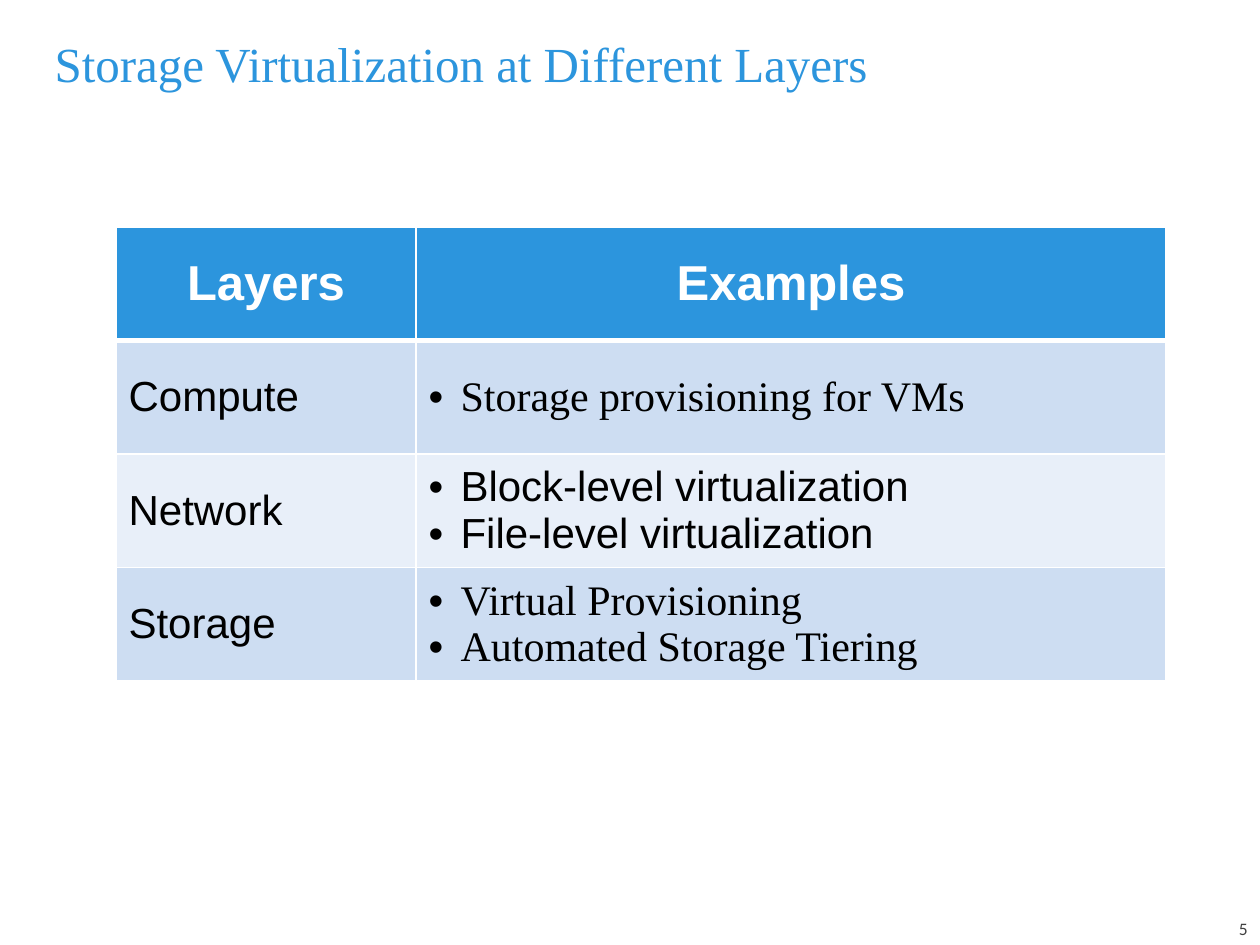
from lxml import etree
from pptx import Presentation
from pptx.dml.color import RGBColor
from pptx.enum.text import MSO_ANCHOR, MSO_AUTO_SIZE, PP_ALIGN
from pptx.oxml.ns import qn
from pptx.util import Pt

PX = 914400 / 126
MIDDLE, BOTTOM = MSO_ANCHOR.MIDDLE, MSO_ANCHOR.BOTTOM
LEFT, CENTER, RIGHT = PP_ALIGN.LEFT, PP_ALIGN.CENTER, PP_ALIGN.RIGHT
NO_FIT = MSO_AUTO_SIZE.NONE

BLUE = RGBColor(0x2C, 0x95, 0xDD)
BAND_DARK = RGBColor(0xCD, 0xDD, 0xF2)
BAND_LIGHT = RGBColor(0xE8, 0xEF, 0xF9)
WHITE = RGBColor(0xFF, 0xFF, 0xFF)
BLACK = RGBColor(0x00, 0x00, 0x00)
GREY = RGBColor(0x40, 0x40, 0x40)

SERIF, SANS = "Times New Roman", "Arial"
HEADER = {"size": Pt(28), "bold": True, "name": SANS}
BODY = {"size": Pt(24), "bold": False}
HEADINGS = ["Layers", "Examples"]
LAYERS = [
    ("Compute", SERIF, ["Storage provisioning for VMs"]),
    ("Network", SANS, ["Block-level virtualization", "File-level virtualization"]),
    ("Storage", SERIF, ["Virtual Provisioning", "Automated Storage Tiering"]),
]


def px(n):
    """Turn px into EMU."""
    return round(n * PX)


def write(tf, lines, align, color, fmt):
    """Write one formatted paragraph for each line."""
    for i, line in enumerate(lines):
        p = tf.add_paragraph() if i else tf.paragraphs[0]
        p.alignment = align
        r = p.add_run()
        r.text = line
        r.font.color.rgb = color
        for key, value in fmt.items():
            setattr(r.font, key, value)


def add_bullets(tf, indent):
    """Give every paragraph a hanging round bullet."""
    for p in tf.paragraphs:
        pPr = p._p.get_or_add_pPr()
        pPr.set("marL", str(indent))
        pPr.set("indent", str(-indent))
        etree.SubElement(pPr, qn("a:buFont"), typeface=SANS)
        etree.SubElement(pPr, qn("a:buChar"), char="•")


def add_borders(cell, top, bottom):
    """Draw white cell borders, with top and bottom widths in points."""
    tcPr = cell._tc.get_or_add_tcPr()
    for side, width in {"L": 1, "R": 1, "T": top, "B": bottom}.items():
        ln = etree.SubElement(tcPr, qn(f"a:ln{side}"), w=str(Pt(width)))
        fill = etree.SubElement(ln, qn("a:solidFill"))
        etree.SubElement(fill, qn("a:srgbClr"), val=str(WHITE))


def add_title(s, x, y, w, h):
    """Place and format the slide title."""
    sp = s.shapes.title
    sp.left, sp.top, sp.width, sp.height = map(px, (x, y, w, h))
    tf = sp.text_frame
    tf.auto_size, tf.vertical_anchor = NO_FIT, MIDDLE
    write(tf, ["Storage Virtualization at Different Layers"], LEFT, BLUE,
          {"size": Pt(28), "name": SERIF})


def add_layer_table(s, x, y, w, h):
    """Build the table of layers and their examples."""
    n = len(LAYERS) + 1
    table = s.shapes.add_table(n, 2, *map(px, (x, y, w, h))).table
    first = w * 2 // 7
    for col, width in zip(table.columns, (first, w - first)):
        col.width = px(width)
    for row in table.rows:
        row.height = px(h / n)
    for c, heading in enumerate(HEADINGS):
        write(table.cell(0, c).text_frame, [heading], CENTER, WHITE, HEADER)
    for r, (layer, font, examples) in enumerate(LAYERS, 1):
        write(table.cell(r, 0).text_frame, [layer], LEFT, BLACK, {**BODY, "name": SANS})
        tf = table.cell(r, 1).text_frame
        write(tf, examples, LEFT, BLACK, {**BODY, "name": font})
        add_bullets(tf, px(32))
    for r, row in enumerate(table.rows):
        for cell in row.cells:
            add_borders(cell, 3 if r == 1 else 1, 3 if r == 0 else 1)
            cell.vertical_anchor = MIDDLE
            cell.fill.solid()
            cell.fill.fore_color.rgb = (BLUE, BAND_DARK, BAND_LIGHT, BAND_DARK)[r]


def add_page_number(s, x, y, w, h):
    """Place the page number."""
    tf = s.shapes.add_textbox(*map(px, (x, y, w, h))).text_frame
    tf.word_wrap, tf.vertical_anchor = True, BOTTOM
    write(tf, ["5"], RIGHT, GREY, {"size": Pt(10), "name": "Calibri"})


def main():
    """Build and save the slide."""
    prs = Presentation()
    prs.slide_width, prs.slide_height = px(1260), px(945)
    s = prs.slides.add_slide(prs.slide_layouts[5])
    add_title(s, 42, 10, 1165, 105)
    add_page_number(s, 1197, 913, 63, 32)
    add_layer_table(s, 116, 227, 1050, 454)
    prs.save("out.pptx")


if __name__ == "__main__":
    main()
